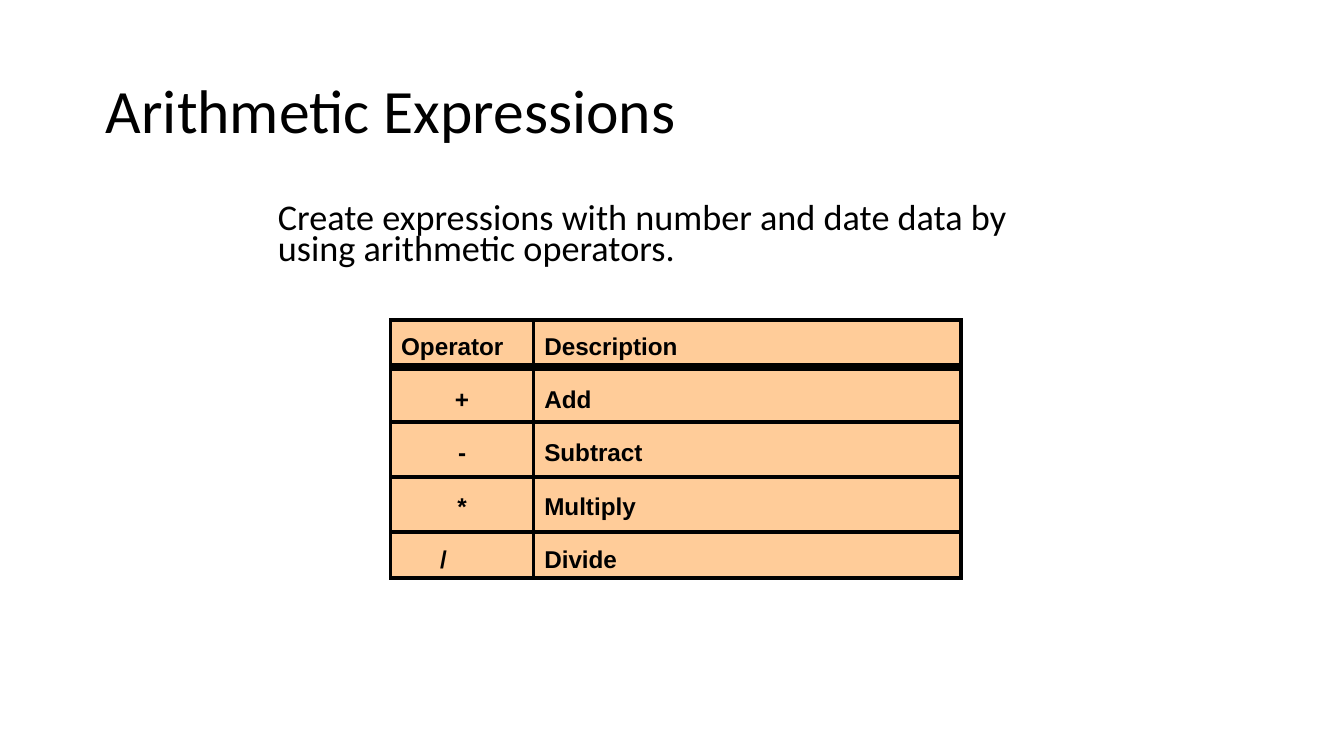
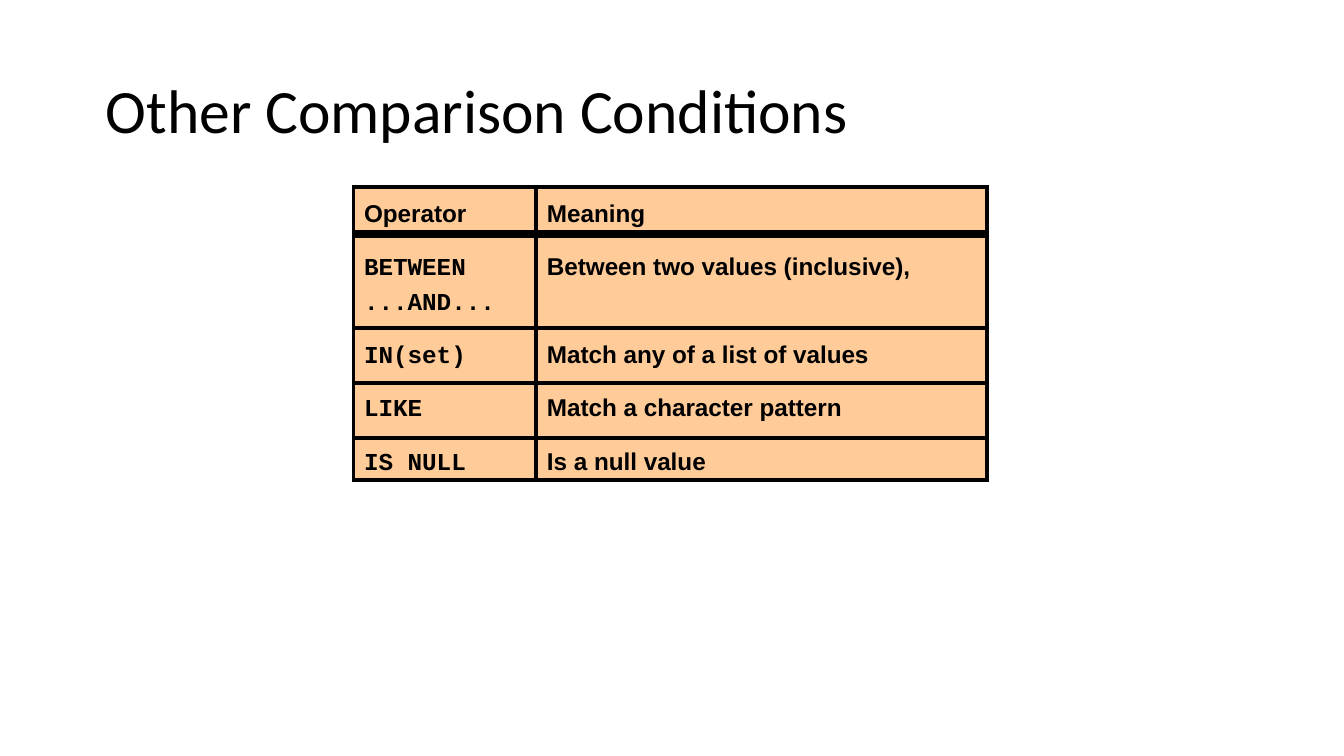
import pptx
import pptx.util
import pptx.dml.color
import pptx.enum.shapes
import pptx.enum.text
import pptx.oxml.ns
import lxml.etree

Pt = pptx.util.Pt
qn = pptx.oxml.ns.qn
ALIGN = pptx.enum.text.PP_ALIGN

# Shared look: a 16:9 slide
WIDTH = pptx.util.Inches(10)
HEIGHT = WIDTH * 9 // 16
BLACK, PEACH = "000000", "FFCC99"
BODY_FONT, TABLE_FONT, CODE_FONT = "Calibri", "Arial", "Courier New"

# Row heights shared by both operator grids, in percent of the slide height
HEADER_ROW, ROW, DOUBLE_ROW = 6.25, 7.28, 12.43


def color(hex_code):
    return pptx.dml.color.RGBColor.from_string(hex_code)


def x(percent):
    return round(WIDTH * percent / 100)


def y(percent):
    return round(HEIGHT * percent / 100)


def style(p, size, font, bold=False, spacing=1.0, before=0):
    p.font.size, p.font.name, p.font.bold = Pt(size), font, bold
    p.font.color.rgb = color(BLACK)
    p.line_spacing, p.space_before = spacing, Pt(before)


def add_text(slide, text, box, size, anchor, spacing, before=0):
    left, top, width, height = box
    tf = slide.shapes.add_textbox(x(left), y(top), x(width), y(height)).text_frame
    tf.word_wrap = True
    tf.vertical_anchor = anchor
    p = tf.paragraphs[0]
    p.text = text
    style(p, size, BODY_FONT, spacing=spacing, before=before)


def add_title(slide, text):
    add_text(slide, text, (6.9, 5.33, 86.3, 19.38), 33,
             pptx.enum.text.MSO_ANCHOR.MIDDLE, 0.9)


def add_column(slide, box, entries, font=TABLE_FONT, align=ALIGN.LEFT):
    """Add a filled column: a header, then entries in the given font and alignment."""
    left, top, width, height = box
    sp = slide.shapes.add_shape(pptx.enum.shapes.MSO_SHAPE.RECTANGLE,
                                x(left), y(top), x(width), y(height))
    sp.shadow.inherit = False
    sp.fill.solid()
    sp.fill.fore_color.rgb = color(PEACH)
    sp.line.color.rgb = color(BLACK)
    sp.line.width = Pt(2)
    # Sharp corners
    lxml.etree.SubElement(sp._element.spPr.find(qn("a:ln")), qn("a:miter"), lim="800000")
    tf = sp.text_frame
    tf.word_wrap = True
    tf.auto_size = pptx.enum.text.MSO_AUTO_SIZE.SHAPE_TO_FIT_TEXT
    tf.vertical_anchor = pptx.enum.text.MSO_ANCHOR.TOP
    tf.margin_left = tf.margin_right = pptx.util.Inches(0.08)
    tf.margin_top = tf.margin_bottom = pptx.util.Inches(0.04)
    for i, entry in enumerate(entries):
        p = tf.add_paragraph() if i else tf.paragraphs[0]
        p.text = entry
        p.alignment = align if i else ALIGN.LEFT
        style(p, 13, font if i else TABLE_FONT, bold=True, spacing=1.2, before=9.8)
    return tf.paragraphs


def add_rules(slide, left, top, width, rows):
    """Draw a rule under each row, the thick one under the header."""
    level = top
    for i, row in enumerate(rows):
        level += row
        line = slide.shapes.add_connector(pptx.enum.shapes.MSO_CONNECTOR.STRAIGHT,
                                          x(left), y(level), x(left + width), y(level))
        line.line.color.rgb = color(BLACK)
        line.line.width = Pt(2 if i else 4)
        lxml.etree.SubElement(line._element.spPr, qn("a:effectLst"))


def build_arithmetic(slide):
    add_title(slide, "Arithmetic Expressions")
    add_text(slide, "Create expressions with number and date data by using "
             "arithmetic operators.", (19.7, 26.45, 60.6, 10.67), 19.4,
             pptx.enum.text.MSO_ANCHOR.TOP, 0.7, 7.5)
    left, top, height = 29.05, 42.3, 34.13
    operator_width, description_width = 10.65, 31.8
    operators = add_column(slide, (left, top, operator_width, height),
                           ["Operator", "+", "-", "*", "/"], align=ALIGN.CENTER)
    # The slash sits left of the other signs
    slash = operators[-1]
    slash.alignment = ALIGN.LEFT
    slash._p.get_or_add_pPr().set("marL", str(pptx.util.Inches(0.29)))
    add_column(slide, (left + operator_width, top, description_width, height),
               ["Description", "Add", "Subtract", "Multiply", "Divide"])
    add_rules(slide, left, top, operator_width + description_width,
              [HEADER_ROW, ROW, ROW, ROW])


def build_comparison(slide):
    add_title(slide, "Other Comparison Conditions")
    left, top, height = 26.3, 24.7, 38.76
    operator_width, meaning_width = 13.6, 33.55
    add_column(slide, (left, top, operator_width, height),
               ["Operator", "BETWEEN\v...AND...", "IN(set)", "LIKE", "IS NULL"],
               font=CODE_FONT)
    meanings = add_column(slide, (left + operator_width, top, meaning_width, height),
                          ["Meaning", "Between two values (inclusive),",
                           "Match any of a list of values",
                           "Match a character pattern", "Is a null value"])
    # Leave one line free beside the two-line operator
    meanings[1].space_after = Pt(18.7)
    add_rules(slide, left, top, operator_width + meaning_width,
              [HEADER_ROW, DOUBLE_ROW, ROW, ROW])


def main():
    prs = pptx.Presentation()
    prs.slide_width, prs.slide_height = WIDTH, HEIGHT
    for build in (build_arithmetic, build_comparison):
        build(prs.slides.add_slide(prs.slide_layouts[6]))
    prs.save("out.pptx")


if __name__ == "__main__":
    main()
